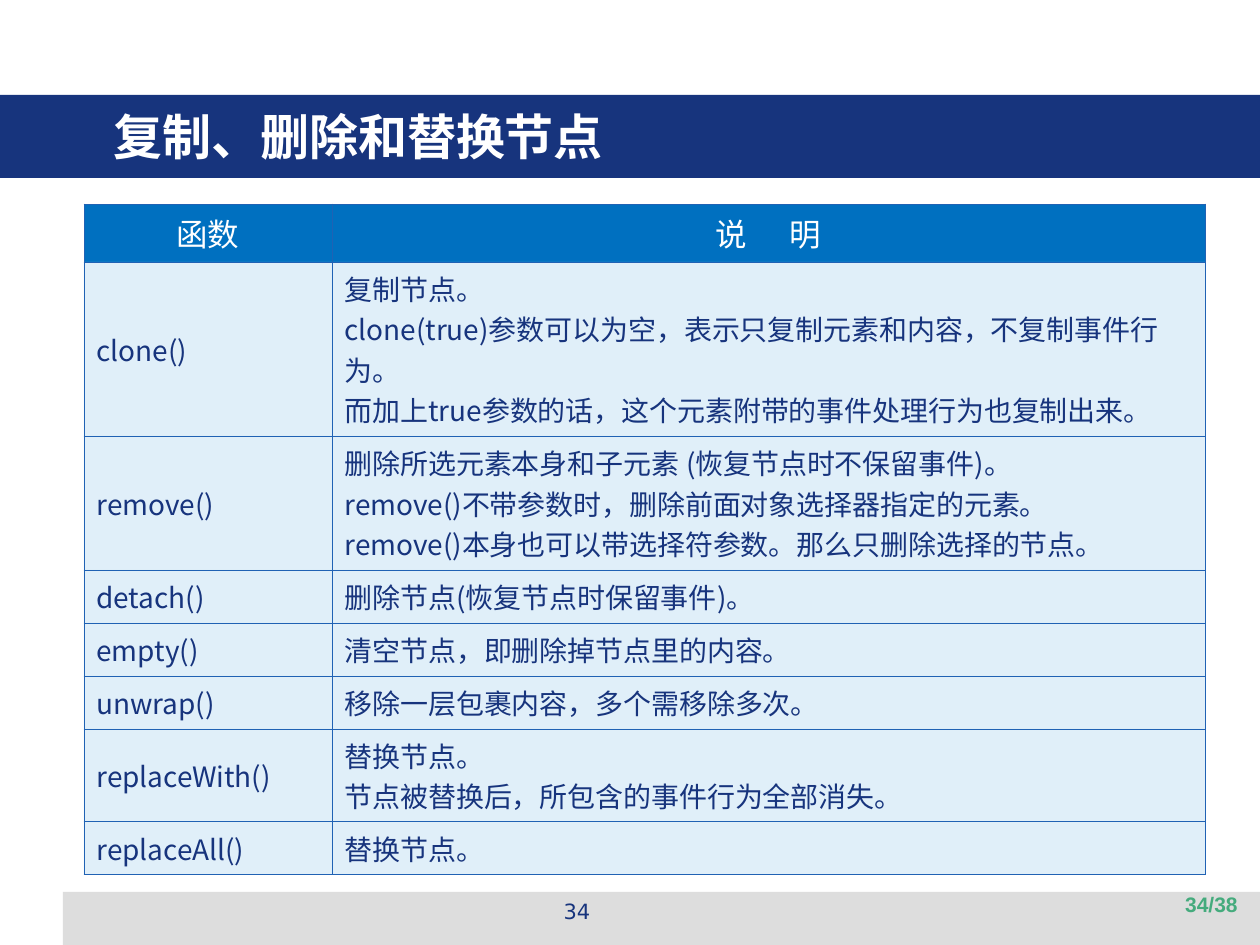
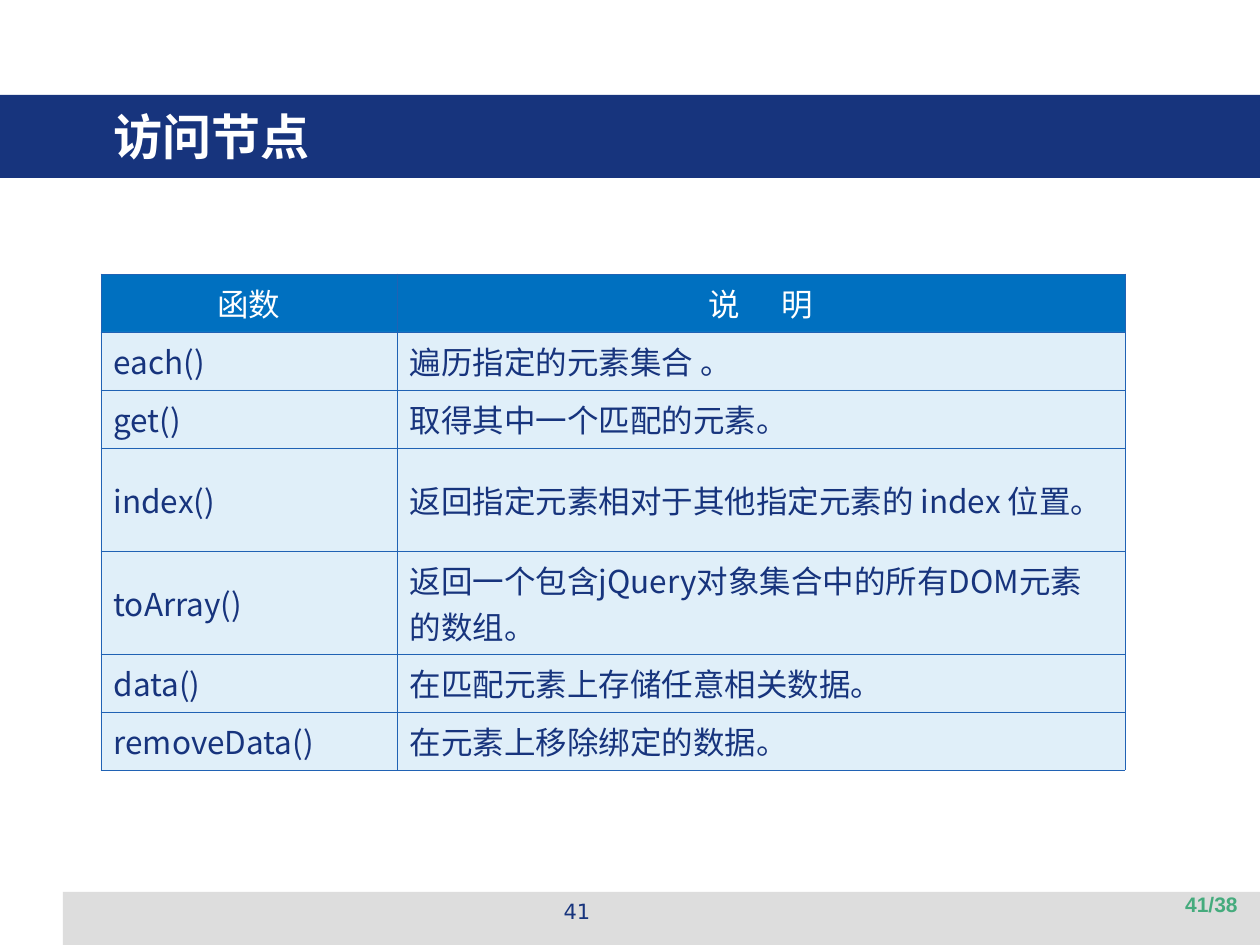
from dataclasses import dataclass

from lxml.etree import SubElement
from pptx import Presentation
from pptx.dml.color import RGBColor
from pptx.enum.shapes import MSO_SHAPE
from pptx.enum.text import MSO_ANCHOR, PP_ALIGN
from pptx.oxml import parse_xml
from pptx.oxml.ns import nsdecls, qn
from pptx.util import Emu, Pt

PX_PER_INCH = 126
TITLE_ONLY = 5


@dataclass(frozen=True)
class Theme:
    navy: str = "17347D"
    white: str = "FFFFFF"
    footer_gray: str = "DDDDDD"
    counter_green: str = "45AB7D"
    header_blue: str = "0070C0"
    row_blue: str = "C3E0F5"
    border_blue: str = "2062B4"
    row_alpha: int = 50
    border_pt: float = 0.45
    text_font: str = "Noto Sans CJK SC"
    page_font: str = "DejaVu Sans"
    counter_font: str = "Arial"
    title_size: int = 28
    header_size: int = 18
    footer_size: int = 12
    header_gap: int = 10
    line_spacing: float = 1.45
    cell_padding: int = 12


def px(length):
    return Emu(round(length * 914400 / PX_PER_INCH))


def px_box(*lengths):
    return [px(length) for length in lengths]


class Deck:
    def __init__(self, theme):
        self.theme = theme
        self.prs = Presentation()
        self.prs.slide_width, self.prs.slide_height = px_box(1260, 945)
        self.slide = None

    def start_slide(self, title, page, page_total):
        theme = self.theme
        self.slide = self.prs.slides.add_slide(self.prs.slide_layouts[TITLE_ONLY])
        if len(self.prs.slides) == 1:
            self.master_band((0, 95, 1260, 83), theme.navy)
            self.master_band((63, 892, 1197, 53), theme.footer_gray)
        self.title(title)
        self.label((430, 892, 294, 44), str(page), PP_ALIGN.CENTER,
                   theme.page_font, theme.navy)
        self.label((956, 885, 294, 50), f"{page}/{page_total}", PP_ALIGN.RIGHT,
                   theme.counter_font, theme.counter_green, bold=True)

    def master_band(self, box, color):
        """Draw a band and move it behind the placeholders of the slide master."""
        band = self.slide.shapes.add_shape(MSO_SHAPE.RECTANGLE, *px_box(*box))
        band.shadow.inherit = False
        band.fill.solid()
        band.fill.fore_color.rgb = RGBColor.from_string(color)
        band.line.fill.background()
        self.prs.slide_master.shapes._spTree.insert(2, band._element)

    def format_runs(self, paragraph, size, font, color, bold=False):
        for run in paragraph.runs:
            run.font.size = Pt(size)
            run.font.bold = bold
            run.font.color.rgb = RGBColor.from_string(color)
            run.font.name = font
            SubElement(run.font._element, qn("a:ea")).set("typeface", font)

    def title(self, text):
        theme = self.theme
        title = self.slide.shapes.title
        title.left, title.top, title.width, title.height = px_box(101, 95, 1134, 81)
        title.text_frame.text = text
        title.text_frame.vertical_anchor = MSO_ANCHOR.MIDDLE
        heading = title.text_frame.paragraphs[0]
        heading.alignment = PP_ALIGN.LEFT
        self.format_runs(heading, theme.title_size, theme.text_font, theme.white, True)

    def label(self, box, text, alignment, font, color, bold=False):
        frame = self.slide.shapes.add_textbox(*px_box(*box)).text_frame
        frame.word_wrap = True
        frame.text = text
        frame.paragraphs[0].alignment = alignment
        self.format_runs(frame.paragraphs[0], self.theme.footer_size, font, color, bold)

    def row_height(self, lines, size):
        """Height in px of a table row that holds some lines of text."""
        line = size * self.theme.line_spacing * PX_PER_INCH / 72
        return round(lines * line) + self.theme.cell_padding

    def function_table(self, left, top, widths, rows, size):
        """Draw rows of function, description and the lines the description takes."""
        heights = [self.row_height(1, self.theme.header_size)] + [
            self.row_height(lines, size) for _, _, lines in rows]
        table = self.slide.shapes.add_table(
            len(heights), len(widths),
            *px_box(left, top, sum(widths), sum(heights))).table
        table.horz_banding = False
        for column, width in zip(table.columns, widths):
            column.width = px(width)
        for row, height in zip(table.rows, heights):
            row.height = px(height)
        for cell, heading in zip(table.rows[0].cells, ("函数", "说 明")):
            self.header_cell(cell, heading)
        for row, (function, description, _) in zip(list(table.rows)[1:], rows):
            for cell, text in zip(row.cells, (function, description)):
                self.body_cell(cell, text, size)

    def header_cell(self, cell, heading):
        theme = self.theme
        self.paint_cell(cell, theme.header_blue)
        paragraph = cell.text_frame.paragraphs[0]
        paragraph.alignment = PP_ALIGN.CENTER
        paragraph.text = heading
        if " " in heading:
            paragraph.text = heading[:-1]
            paragraph.runs[0].font._element.set("spc", str(theme.header_gap * 100))
            paragraph.add_run().text = heading[-1]
        self.format_runs(paragraph, theme.header_size, theme.text_font, theme.white)

    def body_cell(self, cell, text, size):
        theme = self.theme
        self.paint_cell(cell, theme.row_blue, theme.row_alpha)
        cell.text_frame.text = text
        for paragraph in cell.text_frame.paragraphs:
            paragraph._p.get_or_add_pPr().set("hangingPunct", "0")
            self.format_runs(paragraph, size, theme.text_font, theme.navy)

    def paint_cell(self, cell, color, alpha=100):
        cell.vertical_anchor = MSO_ANCHOR.MIDDLE
        cell.fill.solid()
        cell.fill.fore_color.rgb = RGBColor.from_string(color)
        properties = cell._tc.tcPr
        if alpha < 100:
            tint = properties.find(".//" + qn("a:srgbClr"))
            SubElement(tint, qn("a:alpha")).set("val", str(alpha * 1000))
        for position, side in enumerate("LRTB"):
            properties.insert(position, parse_xml(
                f'<a:ln{side} {nsdecls("a")} w="{Pt(self.theme.border_pt)}"><a:solidFill>'
                f'<a:srgbClr val="{self.theme.border_blue}"/></a:solidFill></a:ln{side}>'))


EDITING_FUNCTIONS = [
    ("clone()", "复制节点。\n"
                "clone(true)参数可以为空，表示只复制元素和内容，不复制事件行为。\n"
                "而加上true参数的话，这个元素附带的事件处理行为也复制出来。", 4),
    ("remove()", "删除所选元素本身和子元素 (恢复节点时不保留事件)。\n"
                 "remove()不带参数时，删除前面对象选择器指定的元素。\n"
                 "remove()本身也可以带选择符参数。那么只删除选择的节点。", 3),
    ("detach()", "删除节点(恢复节点时保留事件)。", 1),
    ("empty()", "清空节点，即删除掉节点里的内容。", 1),
    ("unwrap()", "移除一层包裹内容，多个需移除多次。", 1),
    ("replaceWith()", "替换节点。\n节点被替换后，所包含的事件行为全部消失。", 2),
    ("replaceAll()", "替换节点。", 1),
]

ACCESS_FUNCTIONS = [
    ("each()", "遍历指定的元素集合 。", 1),
    ("get()", "取得其中一个匹配的元素。", 1),
    ("index()", "返回指定元素相对于其他指定元素的 index 位置。", 2),
    ("toArray()", "返回一个包含jQuery对象集合中的所有DOM元素的数组。", 2),
    ("data()", "在匹配元素上存储任意相关数据。", 1),
    ("removeData()", "在元素上移除绑定的数据。", 1),
]


def main():
    deck = Deck(Theme())
    deck.start_slide("复制、删除和替换节点", 34, 38)
    deck.function_table(84, 204, (248, 873), EDITING_FUNCTIONS, size=16)
    deck.start_slide("访问节点", 41, 38)
    deck.function_table(101, 274, (296, 728), ACCESS_FUNCTIONS, size=18)
    deck.prs.save("out.pptx")


if __name__ == "__main__":
    main()
